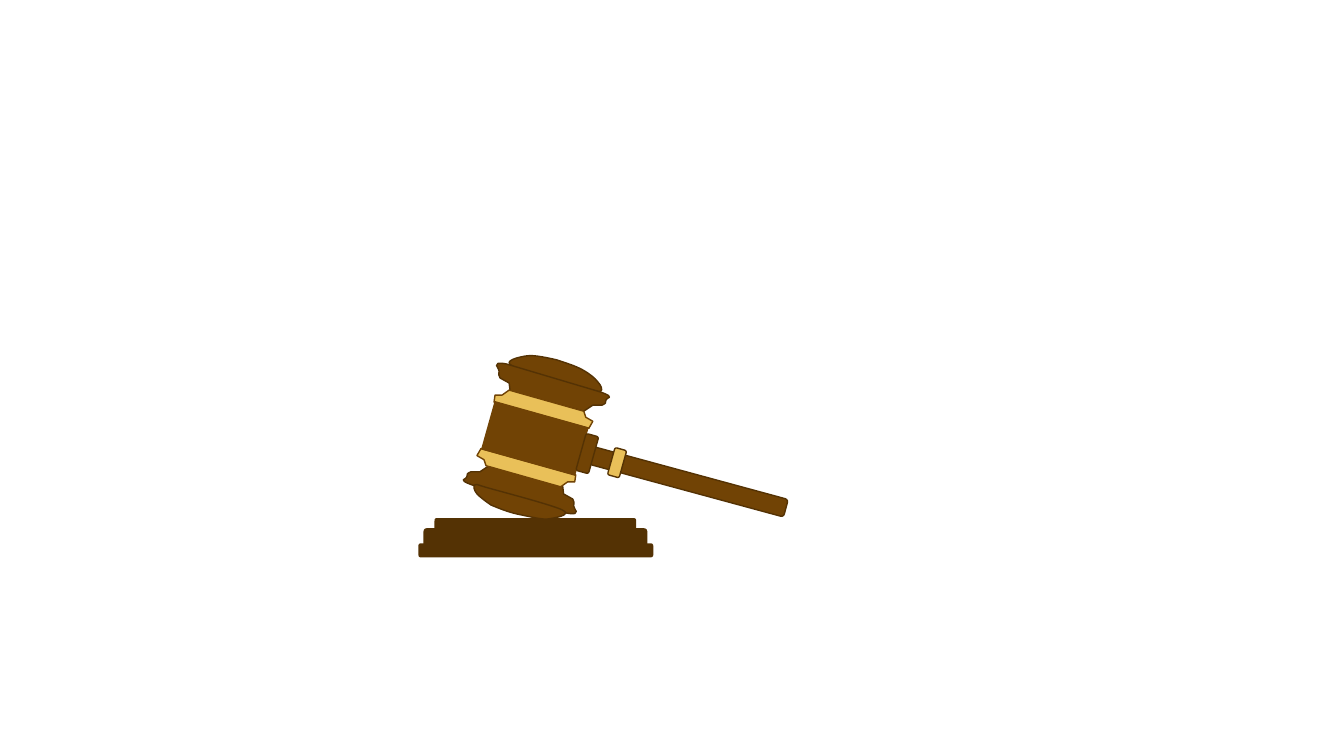
"""Draw a judge's gavel resting on its sounding block."""
from math import cos, radians, sin

from lxml import etree
from pptx import Presentation
from pptx import util as u
from pptx.dml.color import RGBColor
from pptx.enum import shapes
from pptx.oxml.ns import qn

WOOD = RGBColor(0x71, 0x43, 0x05)
DARK = RGBColor(0x54, 0x32, 0x04)
GOLD = RGBColor(0xE9, 0xC0, 0x59)
ROUND = shapes.MSO_SHAPE.ROUNDED_RECTANGLE
RECT = shapes.MSO_SHAPE.RECTANGLE

CROWN = (5.05, 3.52, 0.91, 0.38)
FOOT = (4.7, 4.81, 0.91, 0.34)
RIM = (4.92, 3.6, 1.13, 0.48)
HOOP = (4.9, 3.87, 0.97, 0.39)

# Outline: home box, turn, steps; a pair is a corner, six numbers a curve.
TOP = (CROWN, 358, [
    (5.08, 3.63), (4.98, 3.58, 5.15, 3.54, 5.23, 3.53),
    (5.3, 3.52, 5.43, 3.55, 5.52, 3.57), (5.61, 3.6, 5.71, 3.63, 5.78, 3.67),
    (5.85, 3.71, 5.9, 3.75, 5.93, 3.79), (5.96, 3.82, 5.98, 3.87, 5.96, 3.88),
    (5.94, 3.89, 5.97, 3.89, 5.82, 3.86), (5.68, 3.82, 5.18, 3.69, 5.08, 3.63),
])
BASE = (FOOT, 180, [
    (5.58, 5.06), (5.68, 5.11, 5.5, 5.14, 5.42, 5.15),
    (5.35, 5.15, 5.23, 5.12, 5.13, 5.1), (5.04, 5.08, 4.94, 5.04, 4.87, 5.01),
    (4.81, 4.97, 4.76, 4.93, 4.73, 4.9), (4.7, 4.86, 4.69, 4.82, 4.71, 4.81),
    (4.73, 4.8, 4.7, 4.8, 4.84, 4.84), (4.98, 4.88, 5.48, 5.01, 5.58, 5.06),
])
COLLAR = (RIM, 0, [
    (5.02, 3.61), (5.96, 3.89), (6.12, 3.95, 6.01, 3.94, 6.01, 3.97),
    (6.02, 3.99, 6, 4.01, 5.97, 4.02), (5.88, 4.02), (5.79, 4.08),
    (5.06, 3.88), (5.05, 3.8), (4.96, 3.75),
    (4.95, 3.73, 4.94, 3.71, 4.95, 3.68), (4.96, 3.66, 4.85, 3.58, 5.02, 3.61),
])
BAND = (HOOP, 359, [
    (5.05, 3.87), (5.79, 4.08), (5.81, 4.14), (5.88, 4.18), (5.84, 4.25),
    (4.9, 3.99), (4.91, 3.92), (4.98, 3.92), (5.05, 3.87),
])

# Back to front: preset or outline, box, turn, fill, line.
PARTS = [
    (ROUND, (5.83, 4.69, 2, 0.18), 15.2, WOOD, DARK),
    (TOP, CROWN, 358, WOOD, DARK),
    (COLLAR, RIM, 0, WOOD, DARK),
    (COLLAR, (4.59, 4.62, 1.13, 0.48), 180, WOOD, DARK),
    (BAND, HOOP, 359, GOLD, WOOD),
    (BAND, (4.74, 4.44, 0.97, 0.39), 179, GOLD, WOOD),
    (RECT, (4.82, 4.1, 0.97, 0.5), 15.7, WOOD, None),
    (ROUND, (4.31, 5.14, 2, 0.12), 0, DARK, None),
    (ROUND, (4.2, 5.24, 2.22, 0.19), 0, DARK, None),
    (ROUND, (4.15, 5.39, 2.33, 0.14), 0, DARK, None),
    (ROUND, (5.76, 4.31, 0.13, 0.38), 15.6, WOOD, DARK),
    (BASE, FOOT, 180, WOOD, DARK),
    (ROUND, (6.06, 4.45, 0.12, 0.28), 15.6, GOLD, DARK),
]


def local(x, y, box, turn):
    """Give a slide point in the unturned frame of its box."""
    left, top, wide, high = box
    dx, dy = x - left - wide / 2, y - top - high / 2
    c, s = cos(radians(turn)), sin(radians(turn))
    return (u.Inches(wide / 2 + dx * c + dy * s),
            u.Inches(high / 2 - dx * s + dy * c))


def carve(canvas, outline, place):
    """Add an outline with true curves at the given box."""
    home, turn, steps = outline
    nodes = [[local(*step[i:i + 2], home, turn)
              for i in range(0, len(step), 2)] for step in steps]
    ends = [node[-1] for node in nodes]
    pen = canvas.build_freeform(*ends[0])
    pen.add_line_segments(ends[1:], close=True)
    shape = pen.convert_to_shape()
    shape.left, shape.top, shape.width, shape.height = map(u.Inches, place)
    track = next(shape.element.iter(qn("a:path")))
    track.set("w", str(shape.width))
    track.set("h", str(shape.height))
    for child in list(track):
        track.remove(child)
    for i, node in enumerate(nodes):
        tag = "a:moveTo" if i == 0 else (
            "a:lnTo" if len(node) == 1 else "a:cubicBezTo")
        move = etree.SubElement(track, qn(tag))
        for x, y in node:
            etree.SubElement(move, qn("a:pt"), x=str(x), y=str(y))
    etree.SubElement(track, qn("a:close"))
    return shape


def paint(shape, fill, line):
    """Set fill and outline, without a shadow."""
    shape.shadow.inherit = False
    shape.fill.solid()
    shape.fill.fore_color.rgb = fill
    if line is None:
        shape.line.fill.background()
    else:
        shape.line.color.rgb = line
        shape.line.width = u.Pt(1)


def main():
    """Build the slide and save it."""
    deck = Presentation()
    deck.slide_width, deck.slide_height = u.Inches(13.33), u.Inches(7.5)
    canvas = deck.slides.add_slide(deck.slide_layouts[6]).shapes
    gavel = []
    for kind, place, turn, fill, line in PARTS:
        if kind in (ROUND, RECT):
            shape = canvas.add_shape(kind, *map(u.Inches, place))
        else:
            shape = carve(canvas, kind, place)
        shape.rotation = turn
        paint(shape, fill, line)
        gavel.append(shape)
    canvas.add_group_shape(gavel)
    deck.save("out.pptx")


if __name__ == "__main__":
    main()
